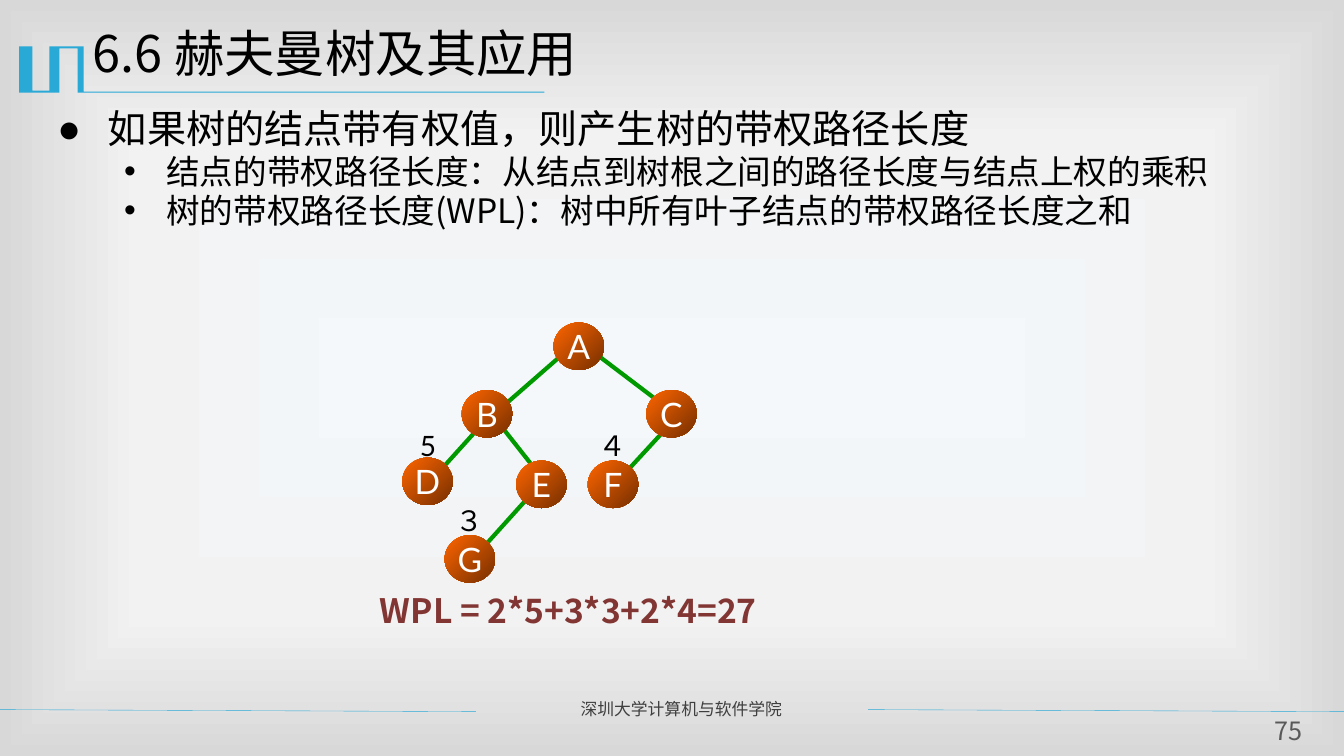
from dataclasses import dataclass

from lxml import etree
from pptx import Presentation
from pptx import util as u
from pptx.dml.color import RGBColor
from pptx.enum import shapes as kinds, text
from pptx.oxml import ns, parse_xml

PX = 9144


@dataclass(frozen=True)
class Theme:
    """Colours, fonts and type sizes of the slide."""
    ink: str = "000000"
    light: str = "FFFFFF"
    accent: str = "28A9D6"
    footer: str = "3F3F3F"
    page: str = "595959"
    edge: str = "009900"
    result: str = "823634"
    backdrop: tuple = ((0, "F4F8FB"), (63, "F2F2F2"), (100, "D8D8D8"))
    ball: tuple = ((0, "FF6600"), (100, "762F00"))
    main_font: str = "Noto Sans CJK SC"
    tree_font: str = "Lato"
    title_size: int = 36
    point_size: int = 28
    detail_size: int = 24
    weight_size: int = 20
    page_size: int = 18
    footer_size: int = 12


THEME = Theme()


def px(*lengths):
    """Turn whole pixels into EMU."""
    return [u.Emu(length * PX) for length in lengths]


def write(frame, *lines, size, color=THEME.ink, font=THEME.main_font, bold=False,
          align=text.PP_ALIGN.LEFT, anchor=text.MSO_ANCHOR.TOP, wrap=True,
          margins=(10, 5), spacing=None):
    """Fill a text frame with formatted paragraphs and return them."""
    frame.auto_size = text.MSO_AUTO_SIZE.NONE
    frame.word_wrap = wrap
    frame.vertical_anchor = anchor
    frame.margin_left = frame.margin_right = px(margins[0])[0]
    frame.margin_top = frame.margin_bottom = px(margins[1])[0]
    frame.text = "\n".join(lines)
    for paragraph in frame.paragraphs:
        paragraph.alignment = align
        paragraph.space_before = u.Pt(0)
        paragraph.line_spacing = spacing
        for run in paragraph.runs:
            run.font.size = u.Pt(size)
            run.font.name = font
            run.font.bold = bold
            run.font.color.rgb = RGBColor.from_string(color)
            east_asian = etree.SubElement(run.font._element, ns.qn("a:ea"))
            east_asian.set("typeface", font)
    return frame.paragraphs


def label(shapes, box, content, **style):
    """Add a text box at the given box."""
    return write(shapes.add_textbox(*px(*box)).text_frame, content, **style)


def add_line(shapes, ends, color, width):
    """Add a plain straight line without shadow."""
    line = shapes.add_connector(kinds.MSO_CONNECTOR.STRAIGHT, *px(*ends))
    line.line.color.rgb = RGBColor.from_string(color)
    line.line.width = u.Pt(width)
    etree.SubElement(line.element.spPr, ns.qn("a:effectLst"))


def paint_gradient(owner, fill, stops, direction):
    """Give a fill its gradient stops and direction."""
    fill.gradient()
    gradient = owner.xpath(".//a:gradFill")[0]
    for child in list(gradient):
        gradient.remove(child)
    colors = "".join(f'<a:gs pos="{at * 1000}"><a:srgbClr val="{color}"/></a:gs>'
                     for at, color in stops)
    filled = parse_xml(f'<a:gradFill {ns.nsdecls("a")}><a:gsLst>{colors}</a:gsLst>'
                       f'{direction}</a:gradFill>')
    gradient.extend(list(filled))


def add_backdrop(slide):
    """Paint the slide with a gradient that spreads from its centre."""
    paint_gradient(slide.element, slide.background.fill, THEME.backdrop,
                   '<a:path path="rect"><a:fillToRect l="50000" t="50000" '
                   'r="50000" b="50000"/></a:path>')


def add_ribbon(shapes, left, top):
    """Draw the folded ribbon that underlines the title."""
    outline = [(63, 0), (64, 0), (64, 45), (521, 45), (521, 46), (58, 46),
               (58, 2), (40, 2), (40, 46), (0, 46), (0, 0), (13, 0),
               (13, 44), (30, 44), (30, 0)]
    builder = shapes.build_freeform(*outline[0], scale=PX)
    builder.add_line_segments(outline[1:], close=True)
    ribbon = builder.convert_to_shape(*px(left, top))
    ribbon.fill.solid()
    ribbon.fill.fore_color.rgb = RGBColor.from_string(THEME.accent)
    ribbon.line.fill.background()
    ribbon.shadow.inherit = False


def add_footer(shapes, top):
    """Place the footer rules, the school name and the page number."""
    for left, right in ((-1, 472), (861, 1333)):
        add_line(shapes, (left, top + 13, right, top + 15), THEME.accent, 0.25)
    label(shapes, (566, top, 285, 30), "深圳大学计算机与软件学院",
          size=THEME.footer_size, color=THEME.footer, spacing=0.9)
    label(shapes, (1248, top + 22, 59, 31), "75", size=THEME.page_size,
          color=THEME.page, align=text.PP_ALIGN.CENTER, margins=(0, 0), spacing=0.9)


def place(holder, box):
    """Move a placeholder to the given box."""
    holder.left, holder.top, holder.width, holder.height = px(*box)
    return holder.text_frame


def add_title(slide, box):
    """Fill the title placeholder."""
    write(place(slide.shapes.title, box), "6.6 赫夫曼树及其应用",
          size=THEME.title_size, spacing=0.9)


def add_points(slide, box):
    """Fill the body placeholder with the point and its two definitions."""
    frame = place(slide.placeholders[1], box)
    points = write(frame, "如果树的结点带有权值，则产生树的带权路径长度",
                   "结点的带权路径长度：从结点到树根之间的路径长度与结点上权的乘积",
                   "树的带权路径长度(WPL)：树中所有叶子结点的带权路径长度之和",
                   size=THEME.detail_size, spacing=0.9)
    for index, point in enumerate(points):
        bullet, indent, hang = ("•", 108, 42) if index else ("●", 50, 50)
        point.level = 1 if index else 0
        properties = point._p.get_or_add_pPr()
        properties.set("marL", str(indent * PX))
        properties.set("indent", str(-hang * PX))
        etree.SubElement(properties, ns.qn("a:buFont")).set("typeface", "Arial")
        etree.SubElement(properties, ns.qn("a:buChar")).set("char", bullet)
        if index:
            point.space_before = u.Pt(2)
    points[0].runs[0].font.size = u.Pt(THEME.point_size)


def add_tree(shapes, left, top):
    """Draw the weighted tree with its path length below."""
    edges = [(220, 28, 282, 75), (195, 28, 132, 83), (120, 91, 74, 142),
             (124, 95, 161, 142), (303, 95, 257, 145), (161, 169, 116, 219)]
    nodes = {"A": (182, 0), "B": (91, 67), "C": (274, 67), "D": (32, 134),
             "E": (145, 137), "F": (216, 137), "G": (74, 211)}
    weights = {"5": (41, 100), "３": (82, 175), "４": (224, 100)}
    for x1, y1, x2, y2 in edges:
        add_line(shapes, (left + x1, top + y1, left + x2, top + y2), THEME.edge, 3)
    for name, (x, y) in nodes.items():
        node = shapes.add_shape(kinds.MSO_SHAPE.OVAL, *px(left + x, top + y, 50, 47))
        paint_gradient(node.element, node.fill, THEME.ball, '<a:lin ang="2700000"/>')
        node.line.fill.background()
        node.shadow.inherit = False
        write(node.text_frame, name, size=THEME.detail_size, color=THEME.light,
              font=THEME.tree_font, align=text.PP_ALIGN.CENTER,
              anchor=text.MSO_ANCHOR.MIDDLE, wrap=False, margins=(0, 5))
    for weight, (x, y) in weights.items():
        label(shapes, (left + x, top + y, 33, 44), weight, size=THEME.weight_size,
              font=THEME.tree_font, align=text.PP_ALIGN.CENTER, margins=(0, 5))
    label(shapes, (left, top + 265, 414, 46), "WPL = 2*5+3*3+2*4=27",
          size=THEME.detail_size, color=THEME.result, bold=True, spacing=0.9)


def main():
    """Build and save the slide."""
    deck = Presentation()
    deck.slide_width, deck.slide_height = px(1333, 750)
    slide = deck.slides.add_slide(deck.slide_layouts[1])
    add_backdrop(slide)
    add_ribbon(slide.shapes, 19, 46)
    add_footer(slide.shapes, 691)
    add_title(slide, (82, 24, 1200, 87))
    add_points(slide, (47, 104, 1213, 225))
    add_tree(slide.shapes.add_group_shape().shapes, 367, 320)
    deck.save("out.pptx")


if __name__ == "__main__":
    main()
